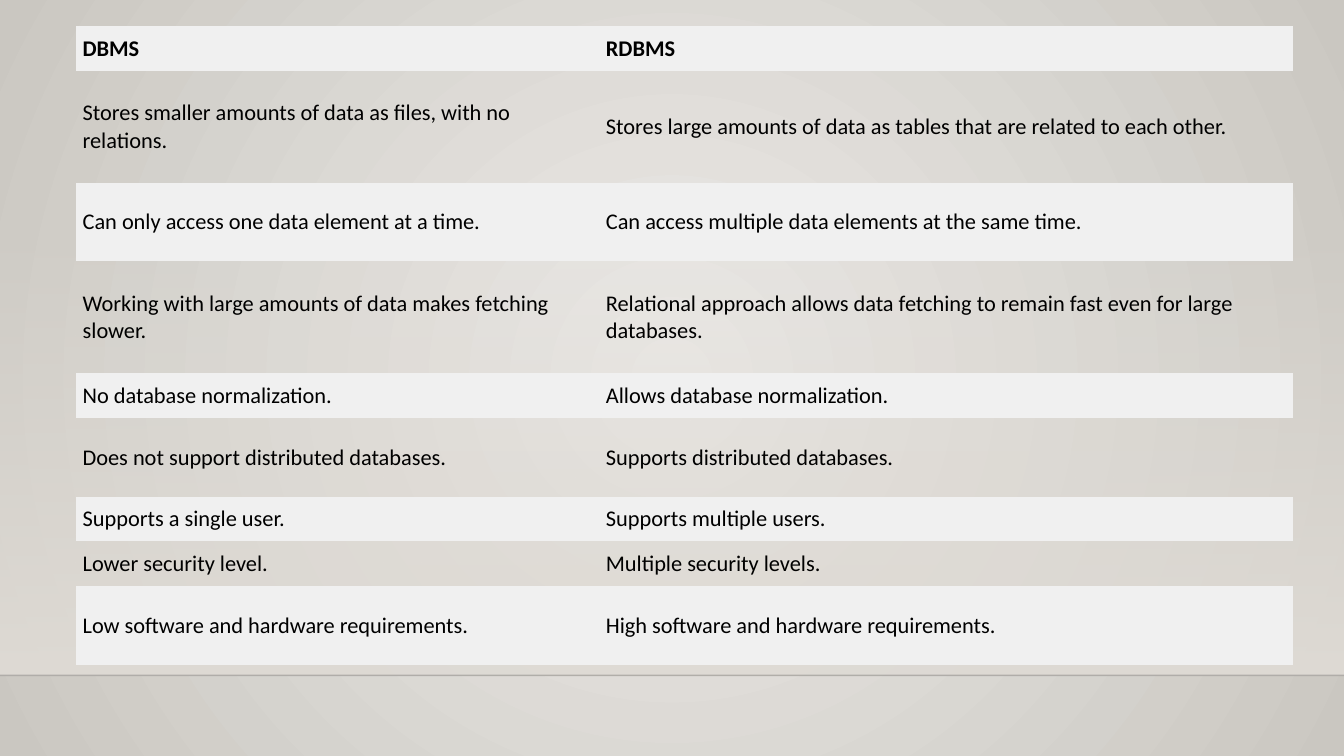
import pptx
import pptx.dml.color
import pptx.enum.shapes
import pptx.enum.text
import pptx.oxml
import pptx.oxml.ns
import pptx.util
from dataclasses import dataclass
from lxml import etree

Inches = pptx.util.Inches
qn = pptx.oxml.ns.qn


@dataclass(frozen=True)
class Theme:
    font: str = "Calibri"
    text_size: int = 16
    text: str = "000000"
    band: str = "F0F0F0"
    glow: str = "ECEAE7"
    edge: str = "CAC7C1"
    wall: str = "DFDBD5"
    floor_line: str = "000001"


THEME = Theme()
WIDTH, HEIGHT = 13.33, 7.5
NO_STYLE = "{2D5ABB26-0587-4C30-8999-92F81FD0307C}"

COLUMN_SHARES = (0.43, 0.57)
ROW_HEIGHT, EXTRA_LINE = 0.445, 0.333
# Each row: extra lines of height, DBMS text, RDBMS text
COMPARISON = [
    (0, "DBMS", "RDBMS"),
    (2, "Stores smaller amounts of data as files, with no relations.",
     "Stores large amounts of data as tables that are related to each other."),
    (1, "Can only access one data element at a time.",
     "Can access multiple data elements at the same time."),
    (2, "Working with large amounts of data makes fetching slower.",
     "Relational approach allows data fetching to remain fast even for large databases."),
    (0, "No database normalization.", "Allows database normalization."),
    (1, "Does not support distributed databases.", "Supports distributed databases."),
    (0, "Supports a single user.", "Supports multiple users."),
    (0, "Lower security level.", "Multiple security levels."),
    (1, "Low software and hardware requirements.",
     "High software and hardware requirements."),
]


def rgb(value):
    return pptx.dml.color.RGBColor.from_string(value)


def apply_format(target, values):
    for name, value in values.items():
        setattr(target, name, value)


def set_gradient(fill, start, end):
    fill.gradient()
    for stop, color in zip(fill.gradient_stops, (start, end)):
        stop.color.rgb = rgb(color)


def set_opacity(color_element, percent):
    etree.SubElement(color_element, qn("a:alpha"), val=str(percent * 1000))


def paint_background(slide):
    """Fill the slide with a glow that spreads from its centre."""
    set_gradient(slide.background.fill, THEME.glow, THEME.edge)
    gradient = next(slide.background._cSld.iter(qn("a:gradFill")))
    linear = gradient.find(qn("a:lin"))
    circle = etree.Element(qn("a:path"), path="circle")
    etree.SubElement(circle, qn("a:fillToRect"),
                     {side: "50000" for side in "ltrb"})
    gradient.replace(linear, circle)


def draw_wall(slide, left, top, width, height):
    """Draw the fading wall and the line where it meets the floor."""
    wall = slide.shapes.add_shape(
        pptx.enum.shapes.MSO_SHAPE.RECTANGLE,
        *map(Inches, (left, top, width, height)))
    wall.shadow.inherit = False
    set_gradient(wall.fill, THEME.wall, THEME.wall)
    wall.fill.gradient_angle = 270
    set_opacity(next(wall._element.spPr.iter(qn("a:srgbClr"))), 0)
    wall.line.fill.background()

    bottom = top + height
    floor_line = slide.shapes.add_connector(
        pptx.enum.shapes.MSO_CONNECTOR.STRAIGHT,
        *map(Inches, (left, bottom, left + width, bottom)))
    floor_line.line.width = pptx.util.Pt(1)
    floor_line.line.color.rgb = rgb(THEME.floor_line)
    properties = floor_line._element.spPr
    set_opacity(next(properties.iter(qn("a:srgbClr"))), 20)
    etree.SubElement(properties, qn("a:effectLst"))


def fill_cell(cell, text, is_header, is_banded):
    apply_format(cell, {
        "text": text,
        "vertical_anchor": pptx.enum.text.MSO_ANCHOR.MIDDLE,
        "margin_left": Inches(0.07), "margin_right": Inches(0.07),
        "margin_top": Inches(0.03), "margin_bottom": Inches(0.03),
    })
    if is_banded:
        cell.fill.solid()
        cell.fill.fore_color.rgb = rgb(THEME.band)
    else:
        cell.fill.background()
    font = cell.text_frame.paragraphs[0].runs[0].font
    apply_format(font, {"name": THEME.font, "bold": is_header,
                        "size": pptx.util.Pt(THEME.text_size)})
    font.color.rgb = rgb(THEME.text)


def draw_comparison(slide, left, top, width):
    heights = [ROW_HEIGHT + extra * EXTRA_LINE for extra, *_ in COMPARISON]
    table = slide.shapes.add_table(
        len(COMPARISON), len(COLUMN_SHARES),
        *map(Inches, (left, top, width, sum(heights)))).table
    apply_format(table, {"first_row": False, "horz_banding": False})
    table._tbl.tblPr.find(qn("a:tableStyleId")).text = NO_STYLE
    for column, share in zip(table.columns, COLUMN_SHARES):
        column.width = Inches(width * share)
    for index, (_, *texts) in enumerate(COMPARISON):
        table.rows[index].height = Inches(heights[index])
        for cell, text in zip(table.rows[index].cells, texts):
            fill_cell(cell, text, index == 0, index % 2 == 0)


def main():
    deck = pptx.Presentation()
    apply_format(deck, {"slide_width": Inches(WIDTH),
                        "slide_height": Inches(HEIGHT)})
    slide = deck.slides.add_slide(deck.slide_layouts[6])
    paint_background(slide)
    draw_wall(slide, 0, 2.21, WIDTH, 4.49)
    draw_comparison(slide, 0.75, 0.26, 12.07)
    deck.save("out.pptx")


if __name__ == "__main__":
    main()
